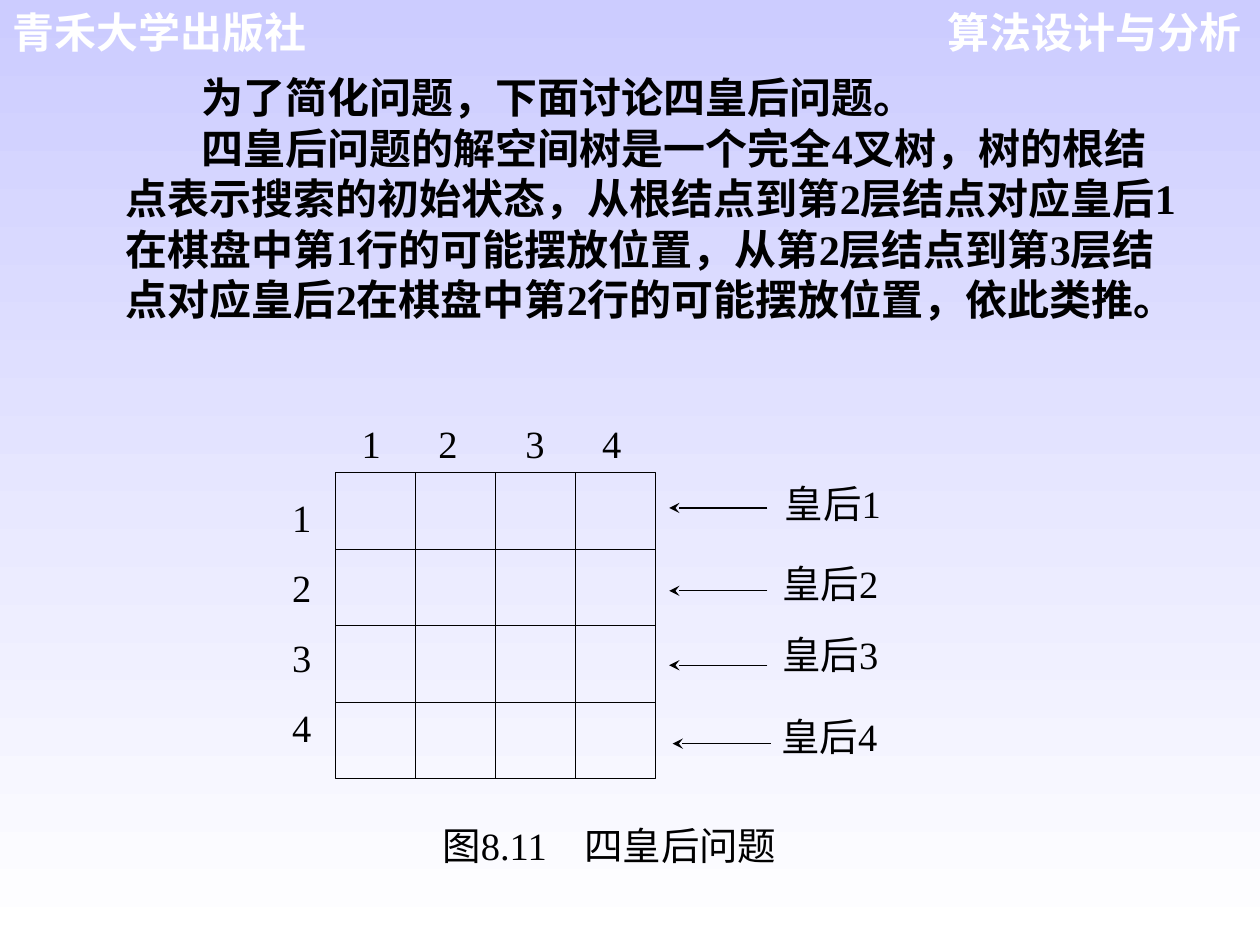
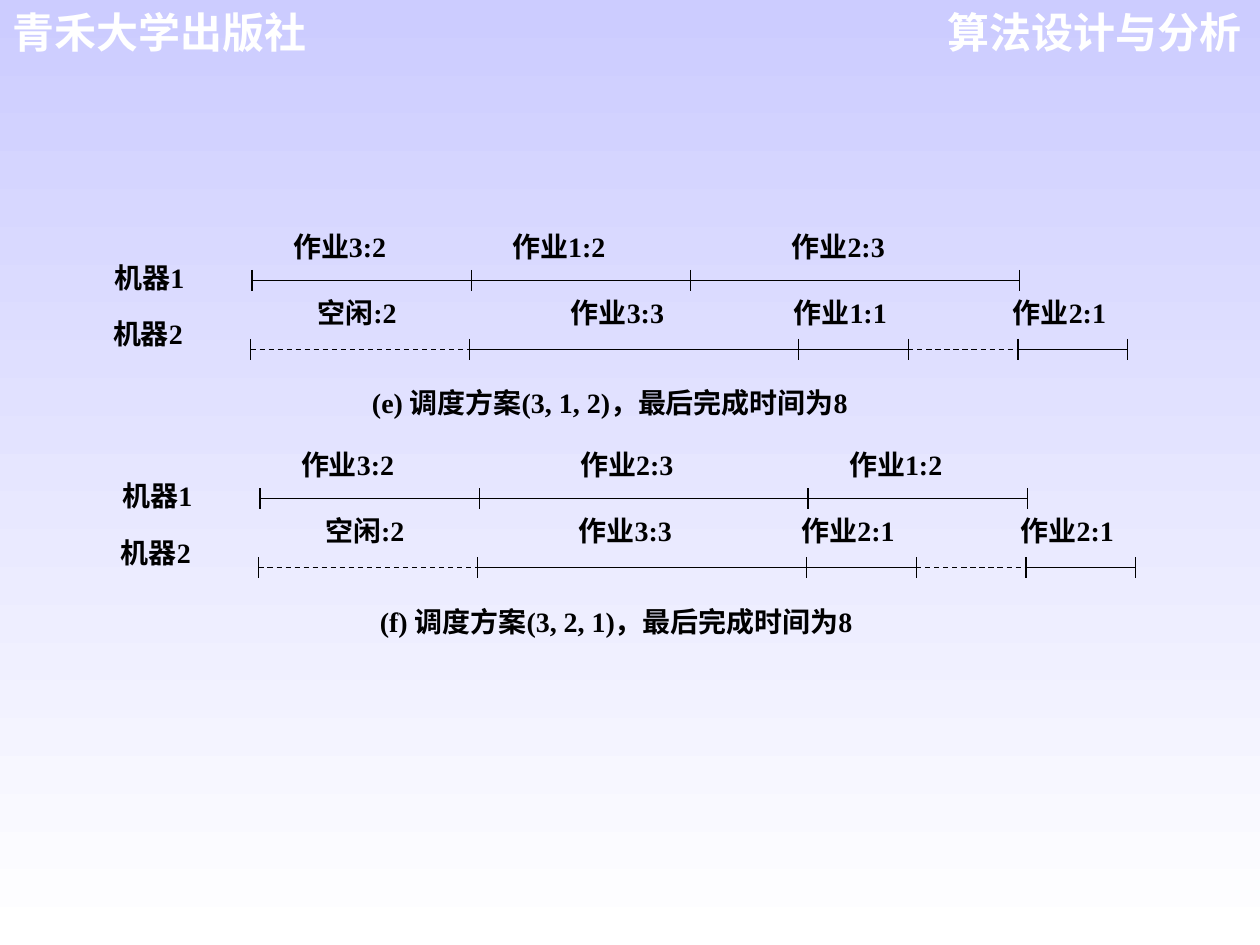
from lxml import etree
from pptx import Presentation
from pptx import util as u
from pptx.dml.color import RGBColor
from pptx.enum import dml, shapes, text
from pptx.oxml import ns

COLORS = {"ink": "000000", "header": "FFFFFF", "top": "CCCCFF", "bottom": "FFFFFF"}
SERIF, SANS = "Times New Roman", "Arial"
HEADER_INSETS = (0.25, 0.13)
LINE_WIDTH = 0.75


def rgb(name):
    return RGBColor.from_string(COLORS[name])


def add_xml(parent, tag, **attributes):
    return etree.SubElement(parent, ns.qn(tag), attributes)


class Deck:
    """Holds the shared style and the slide being drawn."""

    def __init__(self):
        self.prs = Presentation()
        self.prs.slide_width, self.prs.slide_height = u.Cm(25.4), u.Cm(19.05)
        fill = self.prs.slide_master.background.fill
        fill.gradient()
        fill.gradient_angle = 270
        for stop, name in zip(fill.gradient_stops, ("top", "bottom")):
            stop.color.rgb = rgb(name)
        self.slide = None

    def new_slide(self):
        self.slide = self.prs.slides.add_slide(self.prs.slide_layouts[6])
        header = dict(size=24, bold=True, font=SANS, color="header", insets=HEADER_INSETS)
        self.label("算法设计与分析", 18.39, 0, 6.88, 1.27,
                   align=text.PP_ALIGN.RIGHT, **header)
        self.label("青禾大学出版社", 0, 0, 6.88, 1.27, **header)

    def label(self, content, left, top, width, height, size=22, bold=False,
              font=SERIF, color="ink", align=text.PP_ALIGN.LEFT, spacing=None,
              insets=(0, 0), indent=0, tabs=()):
        """Place text, one paragraph per line, with tab stops in cm."""
        box = self.slide.shapes.add_textbox(*map(u.Cm, (left, top, width, height)))
        frame = box.text_frame
        frame.word_wrap = True
        frame.margin_left = frame.margin_right = u.Cm(insets[0])
        frame.margin_top = frame.margin_bottom = u.Cm(insets[1])
        frame.text = content
        for paragraph in frame.paragraphs:
            paragraph.alignment = align
            if spacing:
                paragraph.line_spacing = spacing
            properties = paragraph._p.get_or_add_pPr()
            if indent:
                properties.set("indent", str(u.Cm(indent)))
            if tabs:
                stops = add_xml(properties, "a:tabLst")
                for stop in tabs:
                    add_xml(stops, "a:tab", pos=str(u.Cm(stop)), algn="l")
            for run in paragraph.runs:
                run.font.name, run.font.size, run.font.bold = font, u.Pt(size), bold
                run.font.color.rgb = rgb(color)

    def line(self, x1, y1, x2, y2, dashed=False, arrow=False):
        line = self.slide.shapes.add_connector(
            shapes.MSO_CONNECTOR.STRAIGHT, *map(u.Cm, (x1, y1, x2, y2)))
        line.line.color.rgb = rgb("ink")
        line.line.width = u.Pt(LINE_WIDTH)
        if dashed:
            line.line.dash_style = dml.MSO_LINE.DASH
        if arrow:
            add_xml(line.line._get_or_add_ln(), "a:tailEnd", type="stealth")
        add_xml(line._element.spPr, "a:effectLst")

    def frame(self, left, top, width, height):
        """Draw an unfilled rectangle."""
        frame = self.slide.shapes.add_shape(
            shapes.MSO_SHAPE.RECTANGLE, *map(u.Cm, (left, top, width, height)))
        frame.shadow.inherit = False
        frame.fill.background()
        frame.line.color.rgb = rgb("ink")
        frame.line.width = u.Pt(LINE_WIDTH)

    def board(self, left, top, width, height, cells):
        self.frame(left, top, width, height)
        for k in range(1, cells):
            x, y = left + k * width / cells, top + k * height / cells
            self.line(left, y, left + width, y)
            self.line(x, top, x, top + height)

    def timeline(self, machine, left, y, jobs, name_rise, label_rise):
        """Draw one machine's jobs, given as (name, duration, dashed), on an axis."""
        style = dict(size=16, bold=True, spacing=0.8)
        self.label(machine, left - 2.77, y - name_rise, 2.13, 0.66, **style)
        self.tick(left, y)
        x = left
        for name, duration, dashed in jobs:
            end = x + duration * UNIT
            self.line(x, y, end, y, dashed=dashed)
            self.tick(end, y)
            if name:
                shift = IDLE_SHIFT if dashed else JOB_SHIFT[duration]
                self.label(f"{name}:{duration}", x + shift, y - label_rise,
                           2.7, 0.64, **style)
            x = end

    def tick(self, x, y):
        self.line(x, y - 0.21, x, y + 0.21)


# Timeline scale and label offsets, in cm
UNIT = 2.21
JOB_SHIFT = {1: -0.1, 2: 0.83, 3: 2.04}
IDLE_SHIFT = 1.35


def four_queens(deck):
    deck.new_slide()
    deck.board(6.76, 9.53, 6.45, 6.17, cells=4)
    deck.label("1\t2\t3\t4", 7.29, 8.53, 5.82, 0.84, spacing=0.96,
               tabs=(1.55, 3.3, 4.85))
    deck.label("1\n2\n3\n4", 5.89, 9.47, 0.76, 6.02, spacing=1.52)
    queens = [(13.49, 10.24, 15.82, 9.73), (13.49, 11.91, 15.77, 11.35),
              (13.49, 13.41, 15.77, 12.78), (13.56, 14.99, 15.75, 14.43)]
    for number, (tip, y, left, top) in enumerate(queens, 1):
        deck.line(tip + 1.98, y, tip, y, arrow=True)
        deck.label(f"皇后{number}", left, top, 2.69, 0.91, spacing=0.96)
    deck.label("图8.11\t四皇后问题", 8.92, 16.64, 6.86, 0.99, spacing=0.96, tabs=(2.86,))
    deck.label(
        "为了简化问题，下面讨论四皇后问题。\n"
        "四皇后问题的解空间树是一个完全4叉树，树的根结点表示搜索的初始状态，"
        "从根结点到第2层结点对应皇后1在棋盘中第1行的可能摆放位置，"
        "从第2层结点到第3层结点对应皇后2在棋盘中第2行的可能摆放位置，依此类推。",
        2.29, 1.32, 21.79, 6.35, size=24, bold=True, insets=HEADER_INSETS, indent=1.53)


def job_schedules(deck):
    deck.new_slide()
    schedules = [
        ("(e) 调度方案(3, 1, 2)，最后完成时间为8", 5.08, 5.65,
         [("作业3", 2), ("作业1", 2), ("作业2", 3)], "作业1"),
        ("(f) 调度方案(3, 2, 1)，最后完成时间为8", 5.24, 10.05,
         [("作业3", 2), ("作业2", 3), ("作业1", 2)], "作业2"),
    ]
    for caption, left, y, first_jobs, third_job in schedules:
        deck.timeline("机器1", left, y, [(*job, False) for job in first_jobs],
                      name_rise=0.27, label_rise=0.89)
        second_jobs = [("空闲", 2, True), ("作业3", 3, False), (third_job, 1, False),
                       ("", 1, True), ("作业2", 1, False)]
        deck.timeline("机器2", left - 0.03, y + 1.39, second_jobs,
                      name_rise=0.52, label_rise=0.95)
        deck.label(caption, left + 2.42, y + 2.26, 12.85, 0.66,
                   size=16, bold=True, spacing=0.8)


def main():
    deck = Deck()
    four_queens(deck)
    job_schedules(deck)
    deck.prs.save("out.pptx")


if __name__ == "__main__":
    main()
